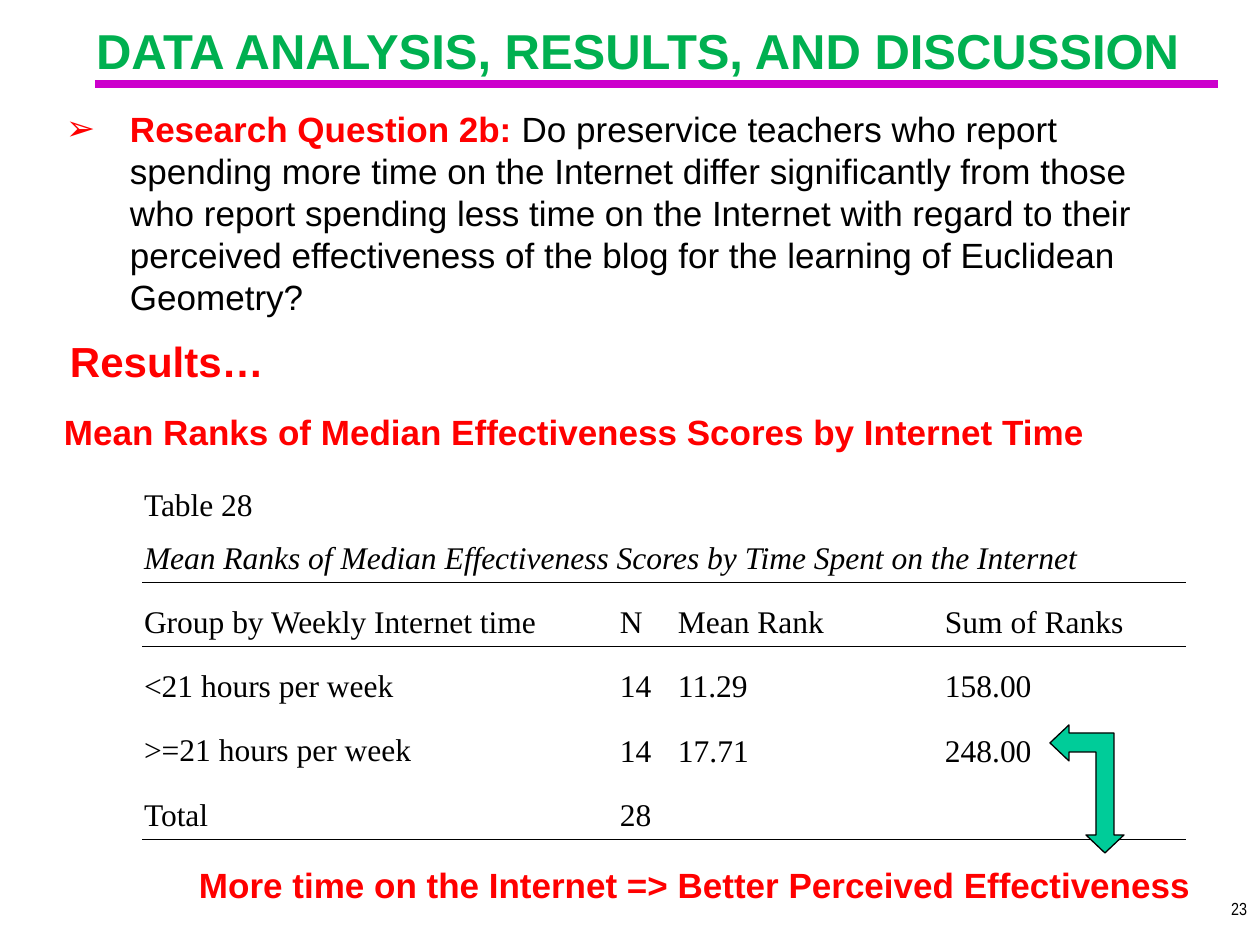
from lxml import etree
from pptx import Presentation
from pptx.dml.color import RGBColor
from pptx.enum.shapes import MSO_CONNECTOR
from pptx.enum.text import MSO_ANCHOR, MSO_AUTO_SIZE, PP_ALIGN
from pptx.oxml.ns import qn
from pptx.util import Emu, Pt

LEFT, CENTER, RIGHT = PP_ALIGN.LEFT, PP_ALIGN.CENTER, PP_ALIGN.RIGHT
TOP, MIDDLE, BOTTOM = MSO_ANCHOR.TOP, MSO_ANCHOR.MIDDLE, MSO_ANCHOR.BOTTOM
NO_FIT = MSO_AUTO_SIZE.NONE
STRAIGHT = MSO_CONNECTOR.STRAIGHT

PX_PER_INCH = 126
RED, BLACK, WHITE = "FF0000", "000000", "FFFFFF"
GREEN, TEAL, PURPLE = "00B050", "00CC99", "CC00CC"
SANS, NARROW, SERIF = "Arial", "Arial Narrow", "Times New Roman"


def px(length):
    return Emu(round(length * 914400 / PX_PER_INCH))


def color(value):
    return RGBColor.from_string(value)


class SlideBuilder:
    """Holds the style and the current slide."""

    def __init__(self, page):
        self.page = page

    def font(self, font, size, tint, name=SANS, bold=False, italic=False):
        font.name, font.size = name, Pt(size)
        font.bold, font.italic = bold, italic
        font.color.rgb = color(tint)

    def frame(self, shape, area, top_inset=0):
        shape.left, shape.top, shape.width, shape.height = map(px, area)
        frame = shape.text_frame
        frame.word_wrap, frame.auto_size = True, NO_FIT
        frame.vertical_anchor = TOP
        frame.margin_left = frame.margin_right = px(13)
        frame.margin_top, frame.margin_bottom = px(top_inset), px(6)
        return frame

    def indent(self, para, left, first=0):
        properties = para._p.get_or_add_pPr()
        properties.set("marL", str(px(left)))
        properties.set("indent", str(px(first)))
        return properties

    def heading(self, text, area, size, tint=RED, align=LEFT, shape=None):
        box = shape or self.page.shapes.add_textbox(0, 0, 0, 0)
        para = self.frame(box, area).paragraphs[0]
        para.text, para.alignment = text, align
        self.indent(para, 4)
        self.font(para.font, size, tint, bold=True)

    def question(self, lead, text, area):
        para = self.frame(self.page.placeholders[1], area, 6).paragraphs[0]
        para.space_before, para.space_after = Pt(0), Pt(12)
        properties = self.indent(para, 64, -64)
        bullet_color = etree.SubElement(properties, qn("a:buClr"))
        etree.SubElement(bullet_color, qn("a:srgbClr"), val=RED)
        etree.SubElement(properties, qn("a:buFont"), typeface=SANS)
        etree.SubElement(properties, qn("a:buChar"), char="➢")
        for words, tint, bold in ((lead, RED, True), (text, BLACK, False)):
            span = para.add_run()
            span.text = words
            self.font(span.font, 20, tint, bold=bold)

    def page_number(self, text, area):
        box = self.page.shapes.add_textbox(0, 0, 0, 0)
        para = self.frame(box, area, 6).paragraphs[0]
        para.text, para.alignment = text, RIGHT
        self.font(para.font, 10, BLACK, NARROW)

    def rule(self, left, right, y, tint, weight):
        line = self.page.shapes.add_connector(
            STRAIGHT, px(left), px(y), px(right), px(y))
        line.line.color.rgb, line.line.width = color(tint), Pt(weight)
        etree.SubElement(line._element.spPr, qn("a:effectLst"))

    def outline(self, points, fill):
        start, *others = [(px(x), px(y)) for x, y in points]
        builder = self.page.shapes.build_freeform(*start)
        builder.add_line_segments(others, close=True)
        shape = builder.convert_to_shape()
        shape.shadow.inherit = False
        shape.fill.solid()
        shape.fill.fore_color.rgb = color(fill)
        shape.line.color.rgb, shape.line.width = color(BLACK), Pt(0.75)

    def borders(self, cell, ruled):
        properties = cell._tc.get_or_add_tcPr()
        for side in "LRTB":
            line = etree.SubElement(properties, qn(f"a:ln{side}"), w=str(Pt(0.45)))
            if side in ruled:
                fill = etree.SubElement(line, qn("a:solidFill"))
                etree.SubElement(fill, qn("a:srgbClr"), val=BLACK)
            else:
                etree.SubElement(line, qn("a:noFill"))

    def cell(self, cell, lines, anchor, ruled, italic_line=None):
        self.borders(cell, ruled)
        cell.fill.solid()
        cell.fill.fore_color.rgb = color(WHITE)
        cell.vertical_anchor = anchor
        cell.margin_left = cell.margin_right = px(2)
        cell.margin_top = cell.margin_bottom = px(6)
        cell.text_frame.text = "\n".join(lines)
        for number, para in enumerate(cell.text_frame.paragraphs):
            para.line_spacing = 1.5
            self.font(para.font, 18, BLACK, SERIF, italic=number == italic_line)

    def table(self, caption, rows, left, top, widths, heights):
        table = self.page.shapes.add_table(
            len(heights), len(widths), px(left), px(top),
            px(sum(widths)), px(sum(heights))).table
        table.first_row = table.horz_banding = False
        for column, width in zip(table.columns, widths):
            column.width = px(width)
        for row, height in zip(table.rows, heights):
            row.height = px(height)

        # Caption across all columns
        table.cell(0, 0).merge(table.cell(0, len(widths) - 1))
        for column in range(len(widths)):
            lines = caption if column == 0 else [""]
            self.cell(table.cell(0, column), lines, BOTTOM, "B", italic_line=1)

        # Header and data rows, ruled around the header and at the end
        ruled_sides = {1: "TB", 2: "T", len(rows): "B"}
        for r, values in enumerate(rows, start=1):
            for c, value in enumerate(values):
                anchor = BOTTOM if r == 1 else TOP if c == 0 else MIDDLE
                self.cell(table.cell(r, c), [value], anchor, ruled_sides.get(r, ""))


def main():
    deck = Presentation()
    deck.slide_width, deck.slide_height = px(1260), px(945)
    page = deck.slides.add_slide(deck.slide_layouts[1])
    slide = SlideBuilder(page)

    # Title and its rule
    slide.heading("DATA ANALYSIS, RESULTS, AND DISCUSSION",
                  (42, 21, 1187, 60), 28, GREEN, CENTER, page.shapes.title)
    slide.rule(95, 1218, 84, PURPLE, 5)

    # Research question
    slide.question(
        "Research Question 2b: ",
        "Do preservice teachers who report spending more time on the Internet "
        "differ significantly from those who report spending less time on the "
        "Internet with regard to their perceived effectiveness of the blog for "
        "the learning of Euclidean Geometry?",
        (53, 101, 1124, 223))

    # Results headings
    slide.heading("Results…", (53, 336, 1071, 60), 24)
    slide.heading("Mean Ranks of Median Effectiveness Scores by Internet Time",
                  (47, 410, 1176, 42), 20)

    # Mean ranks table
    slide.table(
        ["Table 28",
         "Mean Ranks of Median Effectiveness Scores by Time Spent on the Internet"],
        [("Group by Weekly Internet time", "N", "Mean Rank", "Sum of Ranks"),
         ("<21 hours per week", "14", "11.29", "158.00"),
         (">=21 hours per week", "14", "17.71", "248.00"),
         ("Total", "28", "", "")],
        142, 464, (476, 58, 267, 243), (118, 62, 62, 62, 62))

    # Conclusion and the bent double arrow leading to it
    slide.heading("More time on the Internet => Better Perceived Effectiveness",
                  (126, 864, 1134, 60), 20, align=CENTER)
    slide.outline(
        [(1050, 743), (1069, 761), (1069, 752), (1096, 752), (1096, 835),
         (1086, 835), (1105, 853), (1124, 835), (1114, 835), (1114, 733),
         (1069, 733), (1069, 725)], TEAL)

    # Page number
    slide.page_number("23", (998, 892, 262, 53))

    deck.save("out.pptx")


if __name__ == "__main__":
    main()
